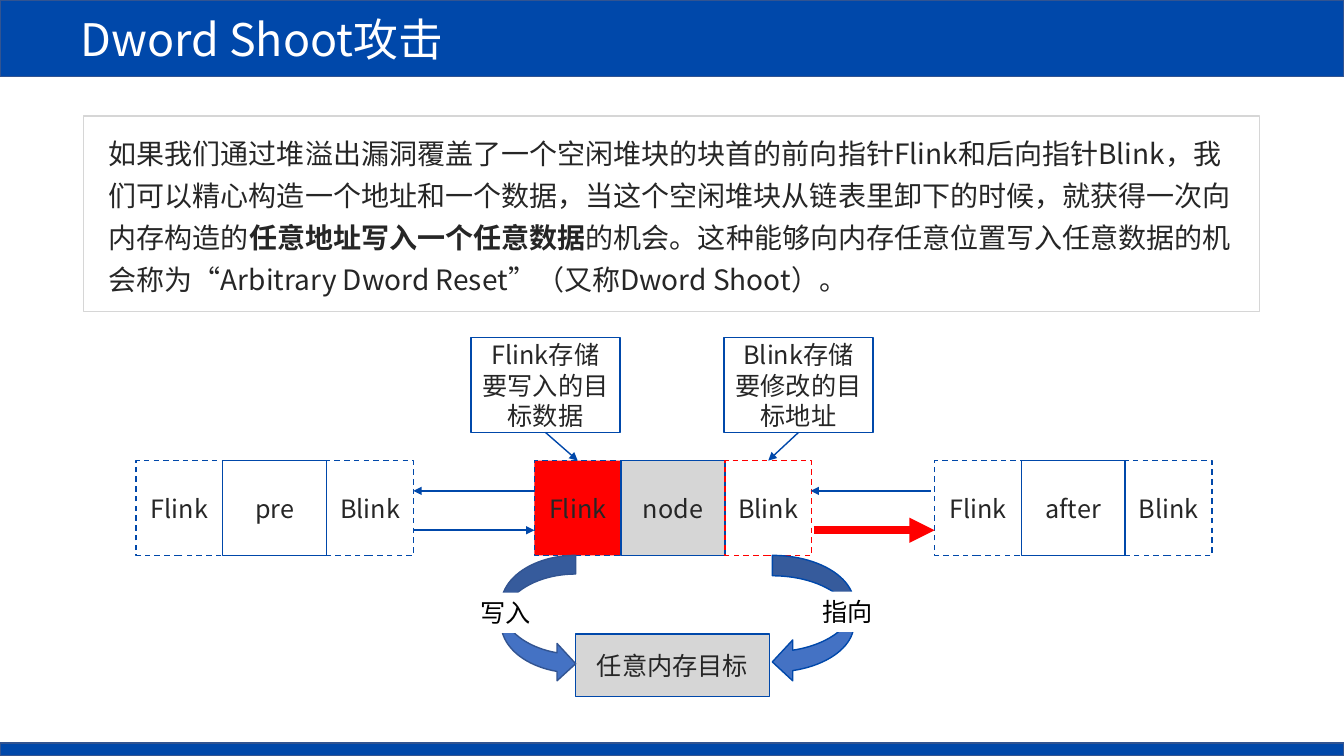
from dataclasses import dataclass
from typing import Optional

import pptx
import pptx.dml.color
import pptx.enum.dml
import pptx.enum.shapes
import pptx.enum.text
import pptx.oxml.ns
import pptx.oxml.xmlchemy
import pptx.shapes.autoshape
import pptx.shapes.connector
import pptx.text.text
import pptx.util
from lxml import etree

Inches = pptx.util.Inches
Pt = pptx.util.Pt
RGBColor = pptx.dml.color.RGBColor
Align = pptx.enum.text.PP_ALIGN
Anchor = pptx.enum.text.MSO_ANCHOR
Kind = pptx.enum.shapes.MSO_SHAPE
qn = pptx.oxml.ns.qn

FONT = "Noto Sans CJK SC"
BLUE = RGBColor(0x00, 0x48, 0xAA)
NAVY = RGBColor(0x32, 0x54, 0x91)
ARROW = RGBColor(0x44, 0x72, 0xC4)
RED = RGBColor(0xFF, 0x00, 0x00)
GRAY = RGBColor(0xD6, 0xD6, 0xD6)
INK = RGBColor(0x26, 0x26, 0x26)
BLACK = RGBColor(0x00, 0x00, 0x00)
WHITE = RGBColor(0xFF, 0xFF, 0xFF)

CELL_Y, CELL_H = 4.57, 0.94
LINK_W, NAME_W = 0.86, 1.03


@dataclass
class Box:
    x: float
    y: float
    w: float
    h: float
    text: str = ""
    fill: Optional[RGBColor] = None
    line: RGBColor = BLUE
    dash: bool = False
    kind: int = Kind.RECTANGLE


@dataclass
class Node:
    x: float
    name: str
    flink: Optional[RGBColor] = None
    fill: Optional[RGBColor] = None
    blink: RGBColor = BLUE


@dataclass
class Link:
    x1: float
    x2: float
    y: float
    color: RGBColor = BLUE
    width: float = 1


@dataclass
class Label:
    x: float
    y: float
    text: str


def style(para: pptx.text.text._Paragraph, size: float, color: RGBColor) -> None:
    font = para.font
    font.size = Pt(size)
    font.color.rgb = color
    font.name = FONT
    base = para._p.pPr.find(qn("a:defRPr"))
    etree.SubElement(base, qn("a:ea")).set("typeface", FONT)


def draw(shapes, box: Box) -> pptx.shapes.autoshape.Shape:
    shape = shapes.add_shape(
        box.kind, Inches(box.x), Inches(box.y), Inches(box.w), Inches(box.h)
    )
    shape.shadow.inherit = False
    if box.fill is None:
        shape.fill.background()
    else:
        shape.fill.solid()
        shape.fill.fore_color.rgb = box.fill
    shape.line.color.rgb = box.line
    shape.line.width = Pt(1)
    if box.dash:
        shape.line.dash_style = pptx.enum.dml.MSO_LINE.DASH
    if box.text:
        frame = shape.text_frame
        frame.word_wrap = True
        frame.vertical_anchor = Anchor.MIDDLE
        para = frame.paragraphs[0]
        para.text = box.text
        para.alignment = Align.CENTER
        style(para, 18, INK)
    return shape


def join(shapes, link: Link) -> pptx.shapes.connector.Connector:
    """Draw a level line with an arrowhead at its end."""
    line = shapes.add_connector(
        pptx.enum.shapes.MSO_CONNECTOR.STRAIGHT,
        Inches(link.x1), Inches(link.y), Inches(link.x2), Inches(link.y),
    )
    line.line.color.rgb = link.color
    line.line.width = Pt(link.width)
    etree.SubElement(line.line._get_or_add_ln(), qn("a:tailEnd")).set("type", "triangle")
    etree.SubElement(line._element.spPr, qn("a:effectLst"))
    return line


def tag(shapes, label: Label) -> None:
    """Draw a white label over a curved arrow."""
    box = shapes.add_textbox(
        Inches(label.x), Inches(label.y), Inches(0.71), Inches(0.4)
    )
    box.fill.solid()
    box.fill.fore_color.rgb = WHITE
    box.text_frame.word_wrap = False
    para = box.text_frame.paragraphs[0]
    para.text = label.text
    style(para, 18, BLACK)


def bars(shapes) -> None:
    """Draw the title bar and the bottom bar."""
    top = draw(shapes, Box(0, 0, 13.33, 0.76, "Dword Shoot攻击", BLUE, NAVY))
    top.text_frame.margin_left = Inches(0.8)
    para = top.text_frame.paragraphs[0]
    para.alignment = Align.LEFT
    para.font.size = Pt(32)
    para.font.color.rgb = WHITE
    draw(shapes, Box(0, 7.37, 13.33, 0.13, fill=BLUE, line=NAVY))


def intro(shapes) -> None:
    group = shapes.add_group_shape().shapes
    draw(group, Box(0.83, 1.15, 11.66, 1.94, line=GRAY))
    box = group.add_textbox(Inches(0.98), Inches(1.22), Inches(11.36), Inches(1.75))
    box.text_frame.word_wrap = True
    para = box.text_frame.paragraphs[0]
    para.line_spacing = 1.25
    for text, bold in (
        ("如果我们通过堆溢出漏洞覆盖了一个空闲堆块的块首的前向指针Flink和后向指针Blink，"
         "我们可以精心构造一个地址和一个数据，当这个空闲堆块从链表里卸下的时候，"
         "就获得一次向内存构造的", False),
        ("任意地址写入一个任意数据", True),
        ("的机会。这种能够向内存任意位置写入任意数据的机会称为"
         "“Arbitrary Dword Reset”（又称Dword Shoot）。", False),
    ):
        run = para.add_run()
        run.text = text
        run.font.bold = bold
    style(para, 20, INK)


def chain(shapes, node: Node) -> tuple:
    """Draw the three cells of a list node and return its two link cells."""
    mid = node.x + LINK_W
    flink = draw(shapes, Box(node.x, CELL_Y, LINK_W, CELL_H, "Flink", node.flink, dash=True))
    draw(shapes, Box(mid, CELL_Y, NAME_W, CELL_H, node.name, node.fill))
    blink = draw(shapes, Box(mid + NAME_W, CELL_Y, LINK_W, CELL_H, "Blink",
                             line=node.blink, dash=True))
    return flink, blink


def main() -> None:
    deck = pptx.Presentation()
    deck.slide_width, deck.slide_height = Inches(13.33), Inches(7.5)
    shapes = deck.slides.add_slide(deck.slide_layouts[6]).shapes
    bars(shapes)
    intro(shapes)

    nodes = (Node(1.35, "pre"), Node(5.3, "node", RED, GRAY, RED), Node(9.27, "after"))
    cells = [chain(shapes, node) for node in nodes]
    for link in (
        Link(5.3, 4.1, 4.87),
        Link(9.23, 8.04, 4.87),
        Link(4.1, 5.3, 5.26),
        Link(8.07, 9.27, 5.26, RED, 6),
    ):
        join(shapes, link)

    draw(shapes, Box(5.71, 6.29, 1.92, 0.62, "任意内存目标", GRAY))
    draw(shapes, Box(7.66, 5.51, 0.81, 1.26, fill=ARROW, kind=Kind.CURVED_LEFT_ARROW))
    tag(shapes, Label(8.06, 5.87, "指向"))
    draw(shapes, Box(4.97, 5.51, 0.74, 1.26, fill=ARROW, line=NAVY,
                     kind=Kind.CURVED_RIGHT_ARROW))
    tag(shapes, Label(4.67, 5.88, "写入"))

    notes = ((4.67, "Flink存储要写入的目标数据"), (7.18, "Blink存储要修改的目标地址"))
    for (x, text), cell in zip(notes, cells[1]):
        note = draw(shapes, Box(x, 3.35, 1.48, 0.94, text))
        line = join(shapes, Link(x, x, CELL_Y))
        line.begin_connect(note, 2)
        line.end_connect(cell, 0)

    deck.save("out.pptx")


if __name__ == "__main__":
    main()
